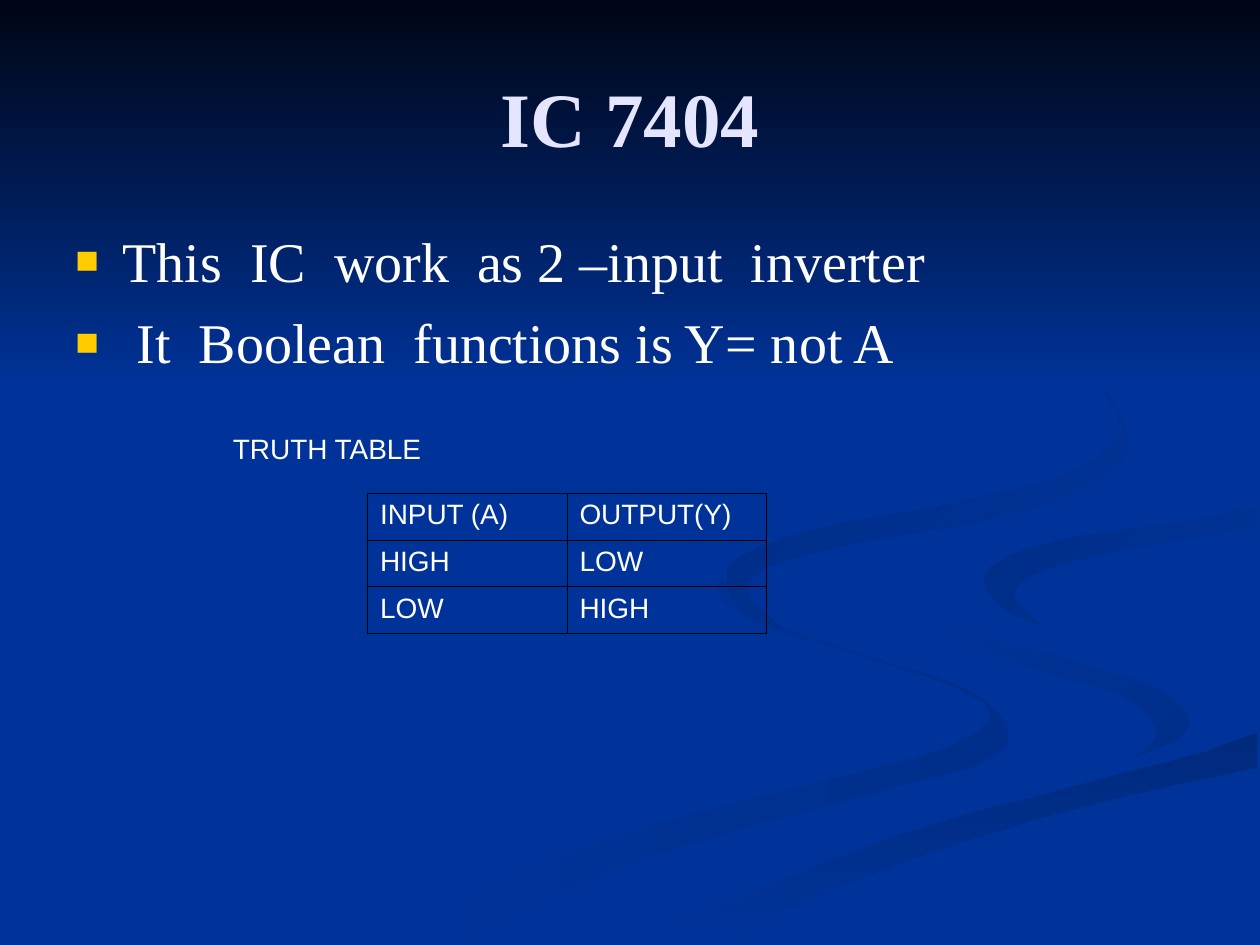
from lxml.etree import SubElement
from pptx import Presentation
from pptx.dml.color import RGBColor
from pptx.enum.shapes import MSO_SHAPE
from pptx.enum.text import MSO_ANCHOR, PP_ALIGN
from pptx.oxml.ns import qn
from pptx.util import Pt

COLORS = {
    "blue": "003399", "night": "000514", "title": "E5E5FF", "white": "FFFFFF",
    "bullet": "FFCC00", "border": "000000", "long": "002E8B", "sweep": "002A7D",
    "right": "002D86", "upper": "002B82",
}
UNIT = Pt(0.72)  # the ribbons are drawn on a grid of 1000 by 750 units
CURVE_STEPS = 6  # straight pieces between two knots of a curve


def smooth(knots):
    """Return points on a Catmull-Rom curve that passes through all knots."""
    padded = [knots[0], *knots, knots[-1]]
    points = [knots[0]]
    for before, start, end, after in zip(padded, padded[1:], padded[2:], padded[3:]):
        for step in range(1, CURVE_STEPS + 1):
            t = step / CURVE_STEPS
            points.append(tuple(
                round(b + (c - a) * t / 2
                      + (2 * a - 5 * b + 4 * c - d) * t**2 / 2
                      + (3 * b - a - 3 * c + d) * t**3 / 2, 2)
                for a, b, c, d in zip(before, start, end, after)
            ))
    return points


def style(para, size, font_name, color_name, bold=False):
    for span in para.runs:
        span.font.size = Pt(size)
        span.font.name = font_name
        span.font.bold = bold
        span.font.color.rgb = RGBColor.from_string(COLORS[color_name])


deck = Presentation()
deck.slide_width, deck.slide_height = Pt(720), Pt(540)
page = deck.slides.add_slide(deck.slide_layouts[5])
page.background.fill.solid()
page.background.fill.fore_color.rgb = RGBColor.from_string(COLORS["blue"])

# Each ribbon lies between two curved edges that run from tip to tail
long_outer = [(575, 459), (570, 472), (602, 495), (679, 519), (752, 543), (786, 566),
              (759, 590), (684, 613), (539, 649), (417, 690), (300, 749)]
long_inner = [(575, 459), (579, 473), (614, 496), (682, 519), (767, 547), (800, 581),
              (780, 605), (699, 628), (564, 665), (466, 700), (361, 749)]
short_outer = [(724, 464), (733, 483), (774, 503), (850, 524), (919, 547), (943, 570),
               (932, 589), (894, 605)]
short_inner = [(724, 464), (739, 494), (781, 518), (838, 536), (892, 553), (918, 581),
               (894, 605)]
sweep_top = [(503, 749), (569, 719), (696, 669), (764, 647), (867, 620), (950, 598),
             (998, 581)]
sweep_bottom = [(571, 749), (649, 710), (752, 672), (861, 640), (998, 609)]
right_top = [(826, 496), (797, 483), (781, 460), (800, 442), (850, 427), (933, 415),
             (998, 402)]
right_bottom = [(826, 496), (805, 472), (828, 453), (896, 435), (998, 420)]
upper_outer = [(762, 233), (843, 275), (894, 344), (867, 384), (786, 412), (683, 430),
               (614, 448), (593, 470), (622, 500)]
upper_inner = [(762, 233), (846, 279), (889, 335), (852, 374), (763, 398), (649, 420),
               (589, 441), (577, 462), (590, 484), (622, 500)]

# The plain ribbon fills the gap between its neighbours, so it borrows their edges
plain_left = short_outer[:-1] + [(843, 618), (704, 655), (573, 703), (477, 749)]
plain_inlet = [(998, 538), (866, 509), (797, 483)] + right_top[2:]
plain_roof = [(998, 387), (874, 408), (755, 432), (724, 464)]

# Edges in drawing order, first and last gradient colour, clockwise angle
ribbons = [
    ([long_outer, long_inner[::-1]], "blue", "long", 0),
    ([short_outer, short_inner[::-1]], "blue", "long", 45),
    ([sweep_top, sweep_bottom[::-1]], "sweep", "blue", 90),
    ([plain_left, sweep_top, plain_inlet, plain_roof], "blue", "blue", 0),
    ([right_top, right_bottom[::-1]], "right", "blue", 45),
    ([upper_outer, upper_inner[::-1]], "upper", "blue", 45),
]
backdrop = []
for edges, first, last, angle in ribbons:
    outline = [point for edge in edges for point in smooth(edge)]
    builder = page.shapes.build_freeform(*outline[0], scale=UNIT)
    builder.add_line_segments(outline[1:], close=True)
    backdrop.append((builder.convert_to_shape(), first, last, angle))

# Dark band that fades down from the top edge
band = page.shapes.add_shape(MSO_SHAPE.RECTANGLE, 0, 0, Pt(720), Pt(221.76))
backdrop.append((band, "night", "blue", 90))

# Paint the backdrop; python-pptx counts gradient angles anticlockwise
for shape, first, last, angle in backdrop:
    shape.shadow.inherit = False
    shape.line.fill.background()
    shape.fill.gradient()
    shape.fill.gradient_angle = -angle % 360
    for stop, name in zip(shape.fill.gradient_stops, (first, last)):
        stop.color.rgb = RGBColor.from_string(COLORS[name])

# Title, brought in front of the backdrop
title = page.shapes.title
title.left, title.top, title.width, title.height = Pt(36), Pt(21.6), Pt(648), Pt(90)
page.shapes._spTree.append(title._element)
title.text_frame.text = "IC 7404"
title.text_frame.vertical_anchor = MSO_ANCHOR.MIDDLE
title.text_frame.paragraphs[0].alignment = PP_ALIGN.CENTER
style(title.text_frame.paragraphs[0], 44, "Times New Roman", "title", bold=True)

# Bulleted statements
body = page.shapes.add_textbox(Pt(36), Pt(126), Pt(648), Pt(356.4))
body.text_frame.word_wrap = True
body.text_frame.text = (
    "This  IC  work  as 2 –input  inverter\n It  Boolean  functions is Y= not A"
)
for index, para in enumerate(body.text_frame.paragraphs):
    if index:
        para.space_before = Pt(8)
    properties = para._p.get_or_add_pPr()
    properties.set("marL", str(Pt(27)))
    properties.set("indent", str(Pt(-27)))
    bullet_color = SubElement(properties, qn("a:buClr"))
    SubElement(bullet_color, qn("a:srgbClr"), val=COLORS["bullet"])
    SubElement(properties, qn("a:buSzPct"), val="70000")
    SubElement(properties, qn("a:buFont"), typeface="Arial")
    SubElement(properties, qn("a:buChar"), char="■")
    style(para, 32, "Times New Roman", "white")

# Table caption
caption = page.shapes.add_textbox(Pt(126), Pt(243.2), Pt(156), Pt(46))
caption.text_frame.word_wrap = True
caption.text_frame.text = "TRUTH TABLE"
style(caption.text_frame.paragraphs[0], 16, "Arial", "white")

# Truth table
rows = [("INPUT (A)", "OUTPUT(Y)"), ("HIGH", "LOW"), ("LOW", "HIGH")]
table = page.shapes.add_table(3, 2, Pt(210), Pt(282), Pt(228), Pt(80.1)).table
table.first_row = table.horz_banding = False
for row, texts in zip(table.rows, rows):
    row.height = Pt(26.7)
    for cell, text in zip(row.cells, texts):
        cell.text_frame.text = text
        style(cell.text_frame.paragraphs[0], 16, "Arial", "white")
        properties = cell._tc.get_or_add_tcPr()
        for side in ("a:lnL", "a:lnR", "a:lnT", "a:lnB"):
            border = SubElement(properties, qn(side), w=str(Pt(0.45)))
            border_fill = SubElement(border, qn("a:solidFill"))
            SubElement(border_fill, qn("a:srgbClr"), val=COLORS["border"])
        cell.fill.background()

deck.save("out.pptx")
